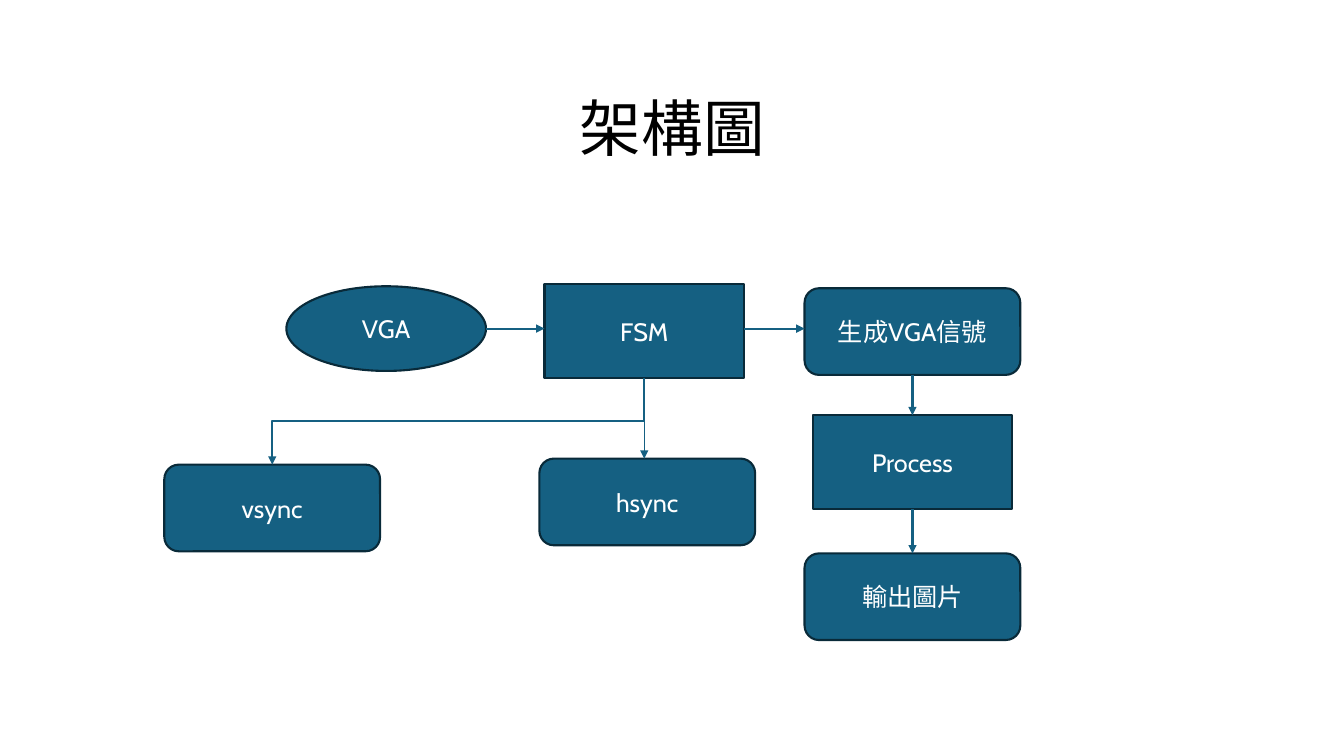
from lxml.etree import SubElement
from pptx import Presentation
from pptx.dml.color import RGBColor
from pptx.enum.shapes import MSO_CONNECTOR, MSO_SHAPE
from pptx.enum.text import MSO_ANCHOR, PP_ALIGN
from pptx.oxml.ns import qn
from pptx.util import Inches, Pt

# Content
TITLE = "架構圖"
ROUNDED = MSO_SHAPE.ROUNDED_RECTANGLE
SIZES = {MSO_SHAPE.OVAL: (1.98, 0.84), MSO_SHAPE.RECTANGLE: (1.98, 0.93), ROUNDED: (2.14, 0.86)}
# name: (text, shape, left, top)
NODES = {
    "vga": ("VGA", MSO_SHAPE.OVAL, 2.84, 2.84),
    "fsm": ("FSM", MSO_SHAPE.RECTANGLE, 5.4, 2.82),
    "signal": ("生成VGA信號", ROUNDED, 7.98, 2.86),
    "process": ("Process", MSO_SHAPE.RECTANGLE, 8.06, 4.12),
    "output": ("輸出圖片", ROUNDED, 7.98, 5.49),
    "vsync": ("vsync", ROUNDED, 1.63, 4.61),
    "hsync": ("hsync", ROUNDED, 5.35, 4.55),
}
ACROSS = [("vga", "fsm"), ("fsm", "signal")]
DOWN = [("signal", "process"), ("process", "output")]

# Style
FONT = "Cabin"
BLUE = RGBColor(0x15, 0x60, 0x82)
NAVY = RGBColor(0x09, 0x2A, 0x39)
WHITE = RGBColor(0xFF, 0xFF, 0xFF)
BLACK = RGBColor(0x00, 0x00, 0x00)


def write(shape, text, size, color):
    frame = shape.text_frame
    frame.word_wrap = True
    frame.vertical_anchor = MSO_ANCHOR.MIDDLE
    paragraph = frame.paragraphs[0]
    paragraph.alignment = PP_ALIGN.CENTER
    run = paragraph.add_run()
    run.text = text
    run.font.name = FONT
    run.font.size = Pt(size)
    run.font.color.rgb = color
    return paragraph


def edges(name):
    _, kind, left, top = NODES[name]
    width, height = SIZES[kind]
    return left, top, left + width, top + height


def center(name):
    left, top, right, bottom = edges(name)
    return (left + right) / 2, (top + bottom) / 2


def add_arrow(slide, start, end, kind=MSO_CONNECTOR.STRAIGHT, width=1.5):
    arrow = slide.shapes.add_connector(kind, *(Inches(value) for value in (*start, *end)))
    arrow.line.color.rgb = BLUE
    arrow.line.width = Pt(width)
    SubElement(arrow.line._get_or_add_ln(), qn("a:tailEnd"), type="triangle")
    SubElement(arrow._element.spPr, qn("a:effectLst"))
    return arrow


presentation = Presentation()
presentation.slide_width, presentation.slide_height = Inches(13.33), Inches(7.5)
slide = presentation.slides.add_slide(presentation.slide_layouts[6])

# Title
title = slide.shapes.add_textbox(Inches(0.92), Inches(0.58), Inches(11.5), Inches(1.45))
write(title, TITLE, 44, BLACK).line_spacing = 0.9

# Nodes
for text, kind, left, top in NODES.values():
    width, height = SIZES[kind]
    node = slide.shapes.add_shape(kind, Inches(left), Inches(top), Inches(width), Inches(height))
    node.shadow.inherit = False
    node.fill.solid()
    node.fill.fore_color.rgb = BLUE
    node.line.color.rgb = NAVY
    node.line.width = Pt(1.5)
    write(node, text, 18, WHITE)

# Straight arrows
row_y = center("vga")[1]
for source, target in ACROSS:
    add_arrow(slide, (edges(source)[2], row_y), (edges(target)[0], row_y))
column_x = center("signal")[0]
for source, target in DOWN:
    add_arrow(slide, (column_x, edges(source)[3]), (column_x, edges(target)[1]))

# Branch from FSM: an elbow turned a quarter to vsync, and a drop to hsync
fsm_x, fsm_bottom = center("fsm")[0], edges("fsm")[3]
vsync_x, vsync_top = center("vsync")[0], edges("vsync")[1]
middle_x, middle_y = (fsm_x + vsync_x) / 2, (fsm_bottom + vsync_top) / 2
half_drop, half_span = (vsync_top - fsm_bottom) / 2, (fsm_x - vsync_x) / 2
elbow = add_arrow(slide, (middle_x - half_drop, middle_y - half_span),
                  (middle_x + half_drop, middle_y + half_span), MSO_CONNECTOR.ELBOW)
elbow._element.spPr.find(qn("a:xfrm")).set("rot", str(90 * 60000))
add_arrow(slide, (fsm_x, middle_y), (fsm_x, edges("hsync")[1]), width=1)

presentation.save("out.pptx")
